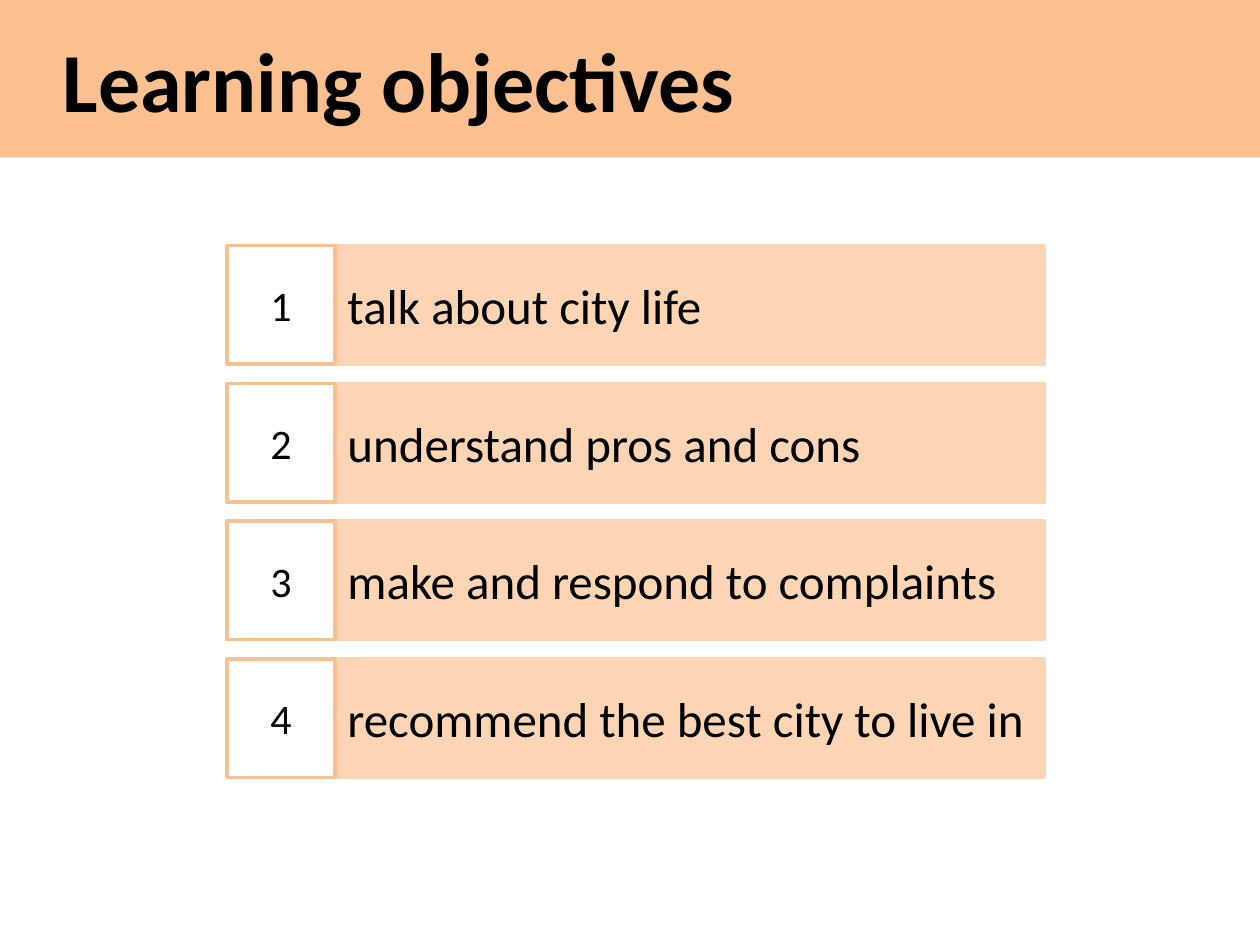
from pptx import Presentation
from pptx import util as u
from pptx.dml.color import RGBColor
from pptx.enum import shapes, text


def color(hex_string):
    return RGBColor.from_string(hex_string)


def add_box(parent, box, fill, line, words, size, align, bold=False):
    """Add a filled rectangle with one line of text; box is in inches."""
    sp = parent.add_shape(shapes.MSO_SHAPE.RECTANGLE, *[u.Inches(v) for v in box])
    sp.shadow.inherit = False
    sp.fill.solid()
    sp.fill.fore_color.rgb = color(fill)
    if line:
        sp.line.color.rgb = color(line)
        sp.line.width = u.Pt(2)
    else:
        sp.line.fill.background()
    tf = sp.text_frame
    tf.word_wrap = True
    tf.vertical_anchor = text.MSO_ANCHOR.MIDDLE
    p = tf.paragraphs[0]
    p.alignment = align
    r = p.add_run()
    r.text = words
    r.font.name = "Calibri"
    r.font.size = u.Pt(size)
    r.font.bold = bold
    r.font.color.rgb = color("000000")
    return sp


WIDTH, HEIGHT = 10, 7.5
ORANGE, PEACH, WHITE = "FAC090", "FCD5B5", "FFFFFF"
LEFT, CENTER = text.PP_ALIGN.LEFT, text.PP_ALIGN.CENTER

prs = Presentation()
prs.slide_width, prs.slide_height = u.Inches(WIDTH), u.Inches(HEIGHT)
s = prs.slides.add_slide(prs.slide_layouts[6])

# Title band, one sixth of the slide's height, with an indented first line
band = add_box(s.shapes, (0, 0, WIDTH, HEIGHT / 6), ORANGE, None,
               "Learning objectives", 48, LEFT, bold=True)
pPr = band.text_frame.paragraphs[0]._p.get_or_add_pPr()
pPr.set("marL", "0")
pPr.set("indent", str(u.Inches(0.4)))

# Objectives: a number column and a text column, four evenly spaced rows
objectives = [
    "talk about city life",
    "understand pros and cons",
    "make and respond to complaints",
    "recommend the best city to live in",
]
number_left, number_width, text_width = 1.8, 0.86, 5.63
first_top, last_top, row_height = 1.95, 5.23, 0.94
pitch = (last_top - first_top) / (len(objectives) - 1)

for i, objective in enumerate(objectives):
    top = first_top + i * pitch
    row = s.shapes.add_group_shape().shapes
    add_box(row, (number_left + number_width, top, text_width, row_height),
            PEACH, PEACH, objective, 28, LEFT)
    add_box(row, (number_left, top, number_width, row_height),
            WHITE, ORANGE, str(i + 1), 24, CENTER)

prs.save("out.pptx")
